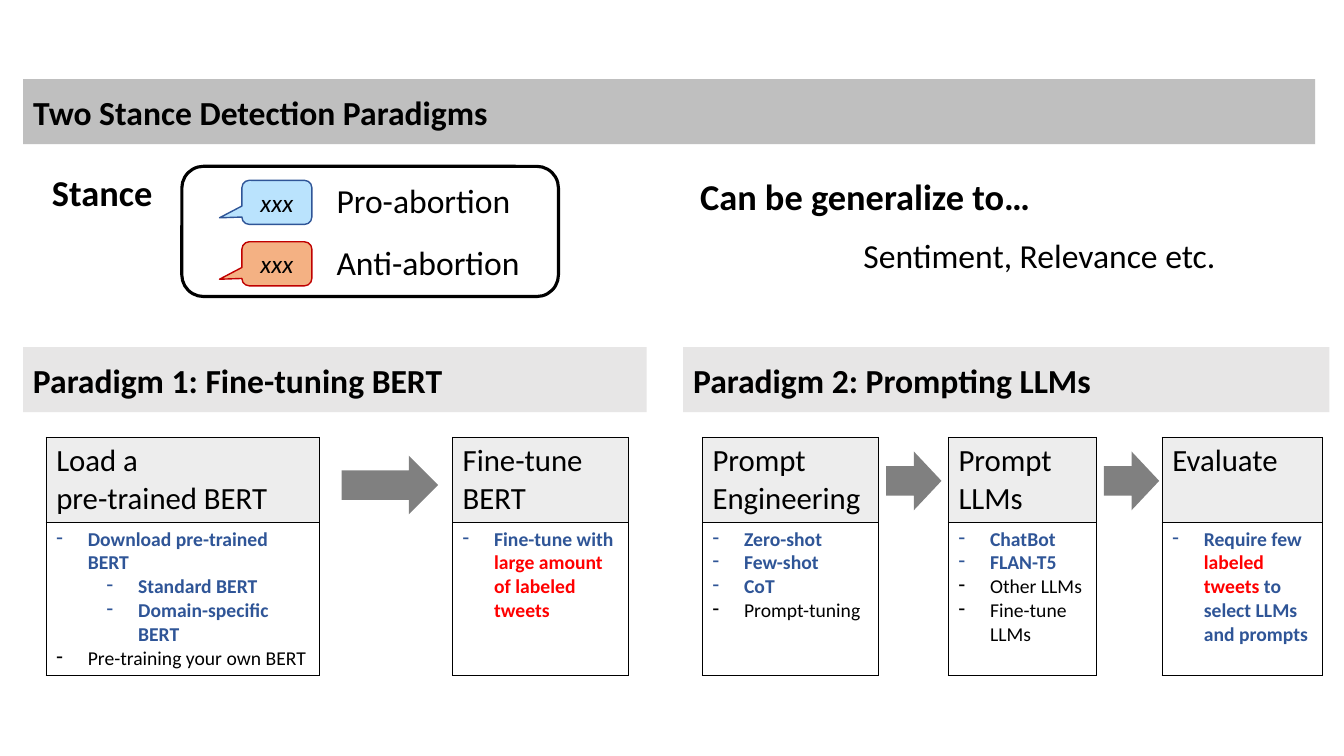
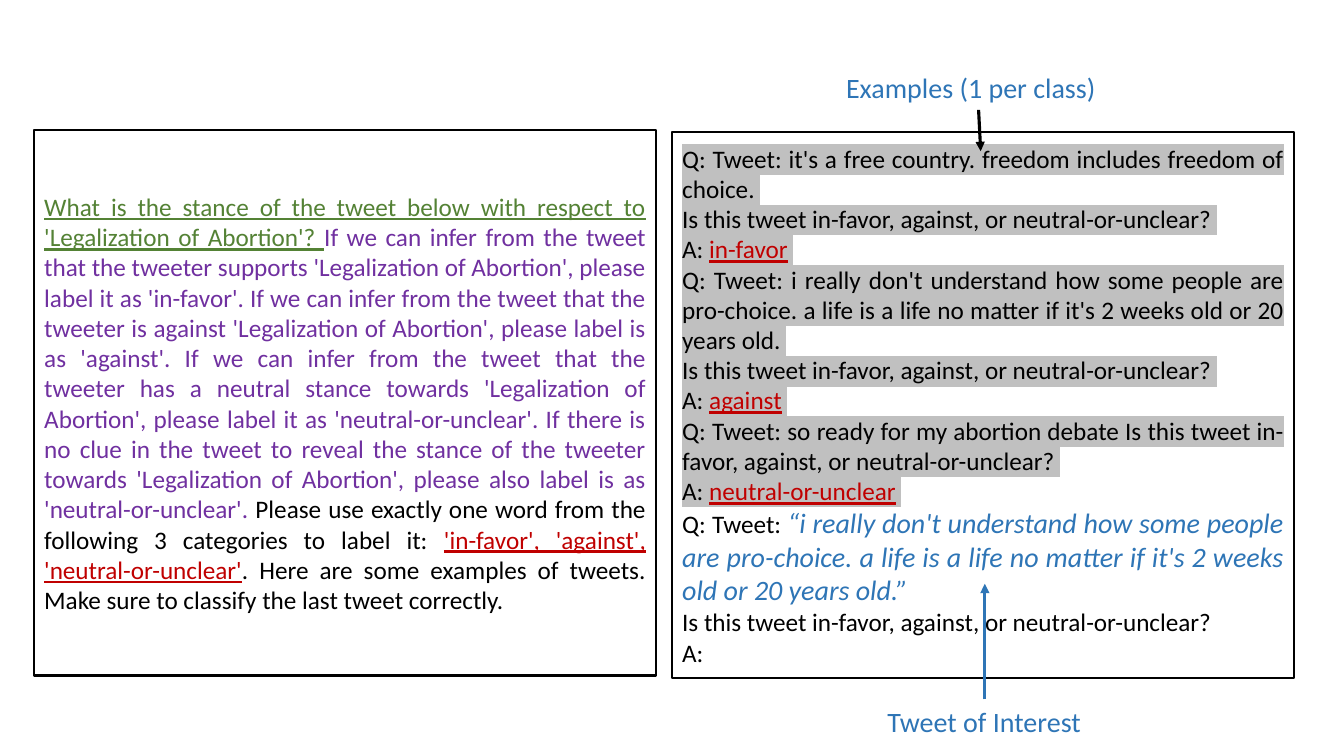
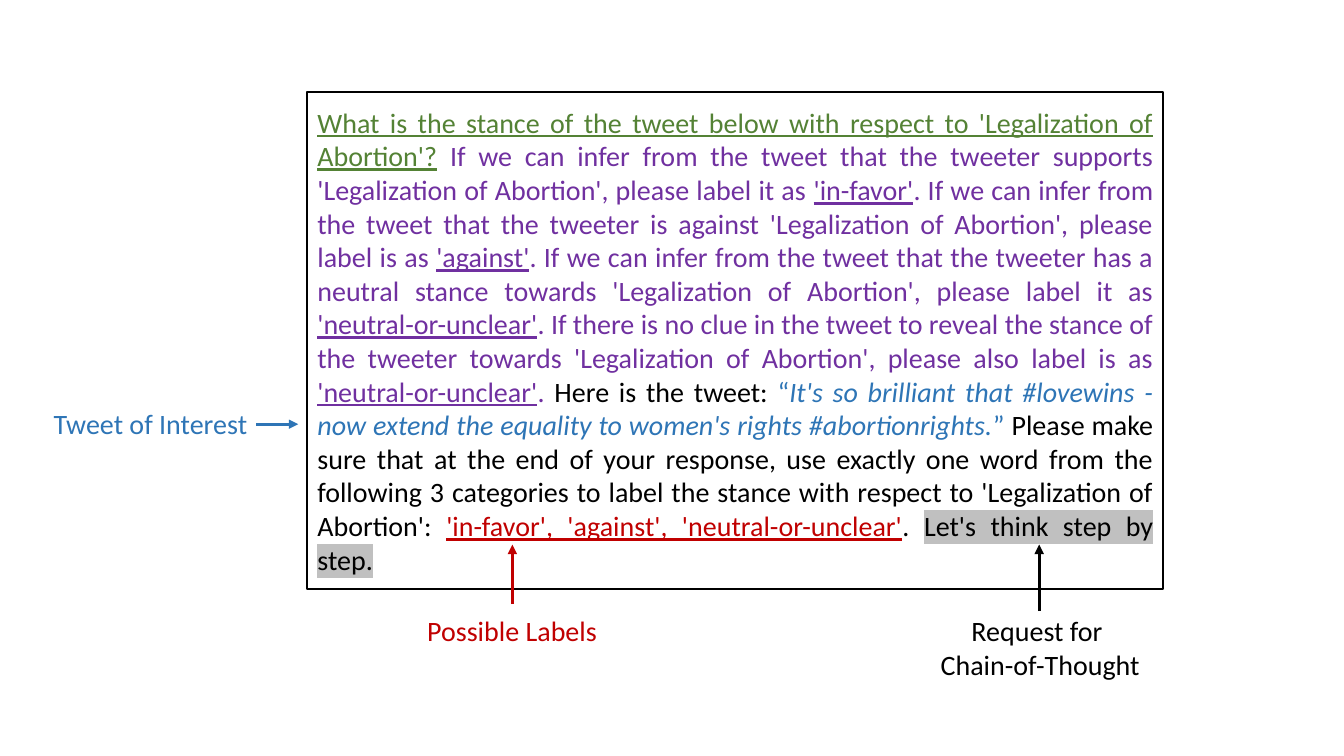
from dataclasses import dataclass, replace

from lxml import etree
from pptx import Presentation
from pptx.dml.color import RGBColor
from pptx.enum import shapes, text
from pptx.oxml.ns import qn
from pptx.util import Pt

FONT = "Calibri"
BLACK = RGBColor(0x00, 0x00, 0x00)
BAND_DARK = RGBColor(0xBF, 0xBF, 0xBF)
BAND_LIGHT = RGBColor(0xE7, 0xE6, 0xE6)
HEADER_GREY = RGBColor(0xED, 0xED, 0xED)
ARROW_GREY = RGBColor(0x80, 0x80, 0x80)
MARKER_GREY = RGBColor(0xC0, 0xC0, 0xC0)
SKY = RGBColor(0xBA, 0xE3, 0xFD)
ORANGE = RGBColor(0xF4, 0xB1, 0x83)
NAVY = RGBColor(0x2F, 0x55, 0x97)
BLUE = RGBColor(0x2E, 0x75, 0xB6)
RED = RGBColor(0xFF, 0x00, 0x00)
CRIMSON = RGBColor(0xC0, 0x00, 0x00)
GREEN = RGBColor(0x54, 0x82, 0x35)
PURPLE = RGBColor(0x70, 0x30, 0xA0)

LEFT, CENTER, JUSTIFY = text.PP_ALIGN.LEFT, text.PP_ALIGN.CENTER, text.PP_ALIGN.JUSTIFY
TOP, MIDDLE = text.MSO_ANCHOR.TOP, text.MSO_ANCHOR.MIDDLE


@dataclass(frozen=True)
class Style:
    color: RGBColor = BLACK
    size: float = 18
    bold: bool = False
    italic: bool = False
    underline: bool = False
    marker: RGBColor = None


PLAIN = Style()
MARKED = Style(marker=MARKER_GREY)
ASK = Style(GREEN, underline=True)
RULE = Style(PURPLE)
RULE_LABEL = Style(PURPLE, underline=True)
LABEL = Style(CRIMSON, underline=True)
TWEET = Style(BLUE, 20, italic=True)
BAND = Style(size=24, bold=True)
HEADING = Style(size=26, bold=True)
STANCE = Style(size=24)
STAGE = Style(size=22)
STEP = Style(size=14)
KEY = Style(NAVY, 14, bold=True)
WARNING = Style(RED, 14, bold=True)

# Slide 1: a step is (level, runs)
TITLE = "Two Stance Detection Paradigms"
TITLE_BOX = (16.5, 56.5, 923, 46.5)
PARADIGMS = [
    ("Paradigm 1: Fine-tuning BERT", (16.5, 248, 445.5, 46.5)),
    ("Paradigm 2: Prompting LLMs", (488, 248, 461.5, 46.5)),
]
STANCES = [("Pro-abortion", SKY, NAVY, 125.3), ("Anti-abortion", ORANGE, CRIMSON, 169.2)]
HEADINGS = [
    ("Stance", HEADING, LEFT, (30, 118, 88, 39)),
    ("Can be generalize to…", HEADING, LEFT, (493, 121, 291, 39)),
    ("Sentiment, Relevance etc.", STANCE, CENTER, (561, 164, 363, 36)),
]
STAGES = [
    (33, 195.3, ["Load a ", "pre-trained BERT"], [
        (0, [("Download pre-trained BERT", KEY)]),
        (1, [("Standard BERT", KEY)]),
        (1, [("Domain-specific BERT", KEY)]),
        (0, [("Pre-training your own BERT", STEP)])]),
    (323.3, 125.5, ["Fine-tune", "BERT"], [
        (0, [("Fine-tune with ", KEY), ("large amount of labeled tweets", WARNING)])]),
    (501.8, 125.5, ["Prompt", "Engineering"], [
        (0, [("Zero-shot", KEY)]),
        (0, [("Few-shot", KEY)]),
        (0, [("CoT", KEY)]),
        (0, [("Prompt-tuning", STEP)])]),
    (677.5, 106, ["Prompt", "LLMs"], [
        (0, [("ChatBot", KEY)]),
        (0, [("FLAN-T5", KEY)]),
        (0, [("Other LLMs", STEP)]),
        (0, [("Fine-tune LLMs", STEP)])]),
    (830.2, 114.5, ["Evaluate"], [
        (0, [("Require few ", KEY), ("labeled tweets ", WARNING),
             ("to select LLMs and prompts", KEY)])]),
]
STAGE_TOP, HEADER_HEIGHT, STEPS_HEIGHT = 312.4, 60.8, 109.6
STAGE_ARROWS = [(244, 325.5, 69, 42), (633, 322.5, 39.5, 42), (788.5, 322.5, 39.5, 42)]

# Slides 2 and 3: the prompts
TOPIC = "'Legalization of Abortion'"
STANCE_QUESTION = f"What is the stance of the tweet below with respect to {TOPIC}?"
ALL_LABELS = "'in-favor', 'against', 'neutral-or-unclear'"
CRITERIA = [
    (f"If we can infer from the tweet that the tweeter supports {TOPIC}, "
     "please label it as ", "'in-favor'"),
    (f"If we can infer from the tweet that the tweeter is against {TOPIC}, "
     "please label is as ", "'against'"),
    ("If we can infer from the tweet that the tweeter has a neutral stance towards "
     f"{TOPIC}, please label it as ", "'neutral-or-unclear'"),
    ("If there is no clue in the tweet to reveal the stance of the tweeter towards "
     f"{TOPIC}, please also label is as ", "'neutral-or-unclear'"),
]
CHOICE = "Is this tweet in-favor, against, or neutral-or-unclear? "
LIFE_TWEET = ("i really don't understand how some people are pro-choice. "
              "a life is a life no matter if it's 2 weeks old or 20 years old.")
EXAMPLES = [
    (["it's a free country. freedom includes freedom of choice. ", CHOICE], "in-favor"),
    ([LIFE_TWEET + " ", CHOICE], "against"),
    (["so ready for my abortion debate " + CHOICE], "neutral-or-unclear"),
]


def criteria(label_style):
    return [run for clause, label in CRITERIA
            for run in ((clause, RULE), (label, label_style), (". ", RULE))]


def example(lines, label):
    questions = [[(line, MARKED)] for line in ["Q: Tweet: " + lines[0], *lines[1:]]]
    return questions + [[("A: ", MARKED), (label, LABEL_MARKED), (" ", MARKED)]]


LABEL_MARKED = replace(LABEL, marker=MARKER_GREY)
FEW_SHOT_TASK = [
    (STANCE_QUESTION + " ", ASK),
    *criteria(RULE),
    ("Please use exactly one word from the following 3 categories to label it: ", PLAIN),
    (ALL_LABELS, LABEL),
    (". Here are some examples of tweets. Make sure to classify the last tweet correctly.",
     PLAIN),
]
FEW_SHOT_EXAMPLES = [
    *[paragraph for item in EXAMPLES for paragraph in example(*item)],
    [("Q: Tweet: ", PLAIN), (f"“{LIFE_TWEET}”", TWEET)],
    [(CHOICE, PLAIN)],
    [("A:", PLAIN)],
]
CHAIN_OF_THOUGHT = [
    (STANCE_QUESTION, ASK),
    (" ", PLAIN),
    *criteria(RULE_LABEL),
    ("Here is the tweet: ", PLAIN),
    ("“", replace(TWEET, italic=False)),
    ("It's so brilliant that #lovewins - now extend the equality to women's rights "
     "#abortionrights.", TWEET),
    ("” ", replace(TWEET, italic=False)),
    ("Please make sure that at the end of your response, use exactly one word from the "
     f"following 3 categories to label the stance with respect to {TOPIC}: ", PLAIN),
    (ALL_LABELS, LABEL),
    (". ", PLAIN),
    ("Let's think step by step.", MARKED),
]

# A prompt is (paragraphs, box); a callout is (lines, colour, box, arrow, arrow colour)
PROMPT_SLIDES = [
    ([([FEW_SHOT_TASK], (24.5, 93, 444, 389.5)),
      (FEW_SHOT_EXAMPLES, (480.2, 94.5, 444, 389.5))],
     [(["Tweet of Interest"], BLUE, (614, 499.5, 178, 31.5), (703.5, 499.5, 703.5, 417), BLUE),
      (["Examples (1 per class)"], BLUE, (589, 47, 209, 31.5), (699, 78.5, 700.5, 108), BLACK)]),
    ([([[(words, replace(style, size=20)) for words, style in CHAIN_OF_THOUGHT]],
       (219.6, 65.7, 611.3, 355))],
     [(["Possible Labels"], CRIMSON, (294.5, 435, 142.5, 31.5), (366, 431.5, 366, 389), CRIMSON),
      (["Tweet of Interest"], BLUE, (18.5, 287, 178, 31.5), (183, 303, 213, 303), BLUE),
      (["Request for ", "Chain-of-Thought"], BLACK, (655, 435, 176, 55.5),
       (742.3, 436.5, 742.3, 389), BLACK)]),
]


def points(values):
    return [Pt(value) for value in values]


def add_child(parent, tag, **attributes):
    return etree.SubElement(parent, qn(tag), attributes)


def add_run(paragraph, words, style):
    run = paragraph.add_run()
    run.text = words
    font = run.font
    font.name, font.size = FONT, Pt(style.size)
    font.bold, font.italic, font.underline = style.bold, style.italic, style.underline
    font.color.rgb = style.color
    if style.marker is not None:
        fill = run._r.get_or_add_rPr().find(qn("a:solidFill"))
        highlight = etree.Element(qn("a:highlight"))
        add_child(highlight, "a:srgbClr", val=str(style.marker))
        fill.addnext(highlight)


def write(frame, paragraphs, align=LEFT, anchor=TOP):
    """Fill a text frame with paragraphs, each a list of (words, style)."""
    frame.word_wrap = True
    frame.vertical_anchor = anchor
    for index, runs in enumerate(paragraphs):
        paragraph = frame.paragraphs[0] if index == 0 else frame.add_paragraph()
        paragraph.alignment = align
        for words, style in runs:
            add_run(paragraph, words, style)


def paint(shape, fill=None, line=None, width=1):
    shape.shadow.inherit = False
    if fill is None:
        shape.fill.background()
    else:
        shape.fill.solid()
        shape.fill.fore_color.rgb = fill
    if line is None:
        shape.line.fill.background()
    else:
        shape.line.color.rgb = line
        shape.line.width = Pt(width)


def add_shape(slide, kind, box, fill=None, line=None, width=1):
    shape = slide.shapes.add_shape(kind, *points(box))
    paint(shape, fill, line, width)
    return shape


def add_text(slide, lines, style, box, align):
    frame = slide.shapes.add_textbox(*points(box)).text_frame
    write(frame, [[(line, style)] for line in lines], align)


def add_arrow(slide, ends, color):
    arrow = slide.shapes.add_connector(shapes.MSO_CONNECTOR.STRAIGHT, *points(ends))
    arrow.line.color.rgb = color
    arrow.line.width = Pt(2.25)
    add_child(arrow.line._get_or_add_ln(), "a:tailEnd", type="triangle")
    add_child(arrow._element.spPr, "a:effectLst")


def add_borders(cell):
    properties = cell._tc.get_or_add_tcPr()
    for side in "LRTB":
        border = add_child(properties, f"a:ln{side}", w=str(Pt(1)))
        add_child(add_child(border, "a:solidFill"), "a:srgbClr", val=str(BLACK))


def add_dash(paragraph, level):
    paragraph.level = level
    properties = paragraph._p.get_or_add_pPr()
    properties.set("marL", str(Pt(22.5 + 36 * level)))
    properties.set("indent", str(Pt(-22.5)))
    add_child(properties, "a:buFontTx")
    add_child(properties, "a:buChar", char="-")


def add_stage(slide, left, width, heading, steps):
    box = (left, STAGE_TOP, width, HEADER_HEIGHT + STEPS_HEIGHT)
    table = slide.shapes.add_table(2, 1, *points(box)).table
    table.first_row = table.horz_banding = False
    table.rows[0].height, table.rows[1].height = Pt(HEADER_HEIGHT), Pt(STEPS_HEIGHT)
    header, body = table.cell(0, 0), table.cell(1, 0)
    add_borders(header)
    add_borders(body)
    header.fill.solid()
    header.fill.fore_color.rgb = HEADER_GREY
    body.fill.background()
    write(header.text_frame, [[(line, STAGE)] for line in heading], JUSTIFY)
    write(body.text_frame, [runs for _, runs in steps])
    for paragraph, (level, _) in zip(body.text_frame.paragraphs, steps):
        add_dash(paragraph, level)


def build_paradigms(deck):
    slide = deck.slides.add_slide(deck.slide_layouts[5])
    title = slide.shapes.title
    title.left, title.top, title.width, title.height = points(TITLE_BOX)
    title.text_frame.auto_size = text.MSO_AUTO_SIZE.NONE
    title.fill.solid()
    title.fill.fore_color.rgb = BAND_DARK
    write(title.text_frame, [[(TITLE, BAND)]], anchor=MIDDLE)
    for name, box in PARADIGMS:
        band = add_shape(slide, shapes.MSO_SHAPE.RECTANGLE, box, BAND_LIGHT)
        write(band.text_frame, [[(name, BAND)]], anchor=MIDDLE)

    add_shape(slide, shapes.MSO_SHAPE.ROUNDED_RECTANGLE, (129.9, 118.8, 269, 93),
              line=BLACK, width=2.25)
    for name, fill, line, top in STANCES:
        bubble = add_shape(slide, shapes.MSO_SHAPE.ROUNDED_RECTANGULAR_CALLOUT,
                           (172.8, top + 3.5, 50, 31.5), fill, line)
        for index, value in enumerate((-0.82, 0.35, 0.17)):
            bubble.adjustments[index] = value
        frame = bubble.text_frame
        frame.margin_left = frame.margin_right = frame.margin_top = frame.margin_bottom = 0
        write(frame, [[("xxx", Style(italic=True))]], CENTER, MIDDLE)
        add_text(slide, [name], STANCE, (233.3, top, 157, 36), LEFT)
    for words, style, align, box in HEADINGS:
        add_text(slide, [words], style, box, align)

    for stage in STAGES:
        add_stage(slide, *stage)
    for box in STAGE_ARROWS:
        add_shape(slide, shapes.MSO_SHAPE.RIGHT_ARROW, box, ARROW_GREY)


def build_prompts(deck, prompts, callouts):
    slide = deck.slides.add_slide(deck.slide_layouts[6])
    for paragraphs, box in prompts:
        prompt = add_shape(slide, shapes.MSO_SHAPE.RECTANGLE, box, line=BLACK, width=1.5)
        write(prompt.text_frame, paragraphs, JUSTIFY, MIDDLE)
    for lines, color, box, ends, arrow_color in callouts:
        add_text(slide, lines, Style(color, 20), box, CENTER)
        add_arrow(slide, ends, arrow_color)


def main():
    deck = Presentation()
    deck.slide_width, deck.slide_height = Pt(960), Pt(540)
    build_paradigms(deck)
    for prompts, callouts in PROMPT_SLIDES:
        build_prompts(deck, prompts, callouts)
    deck.save("out.pptx")


if __name__ == "__main__":
    main()
